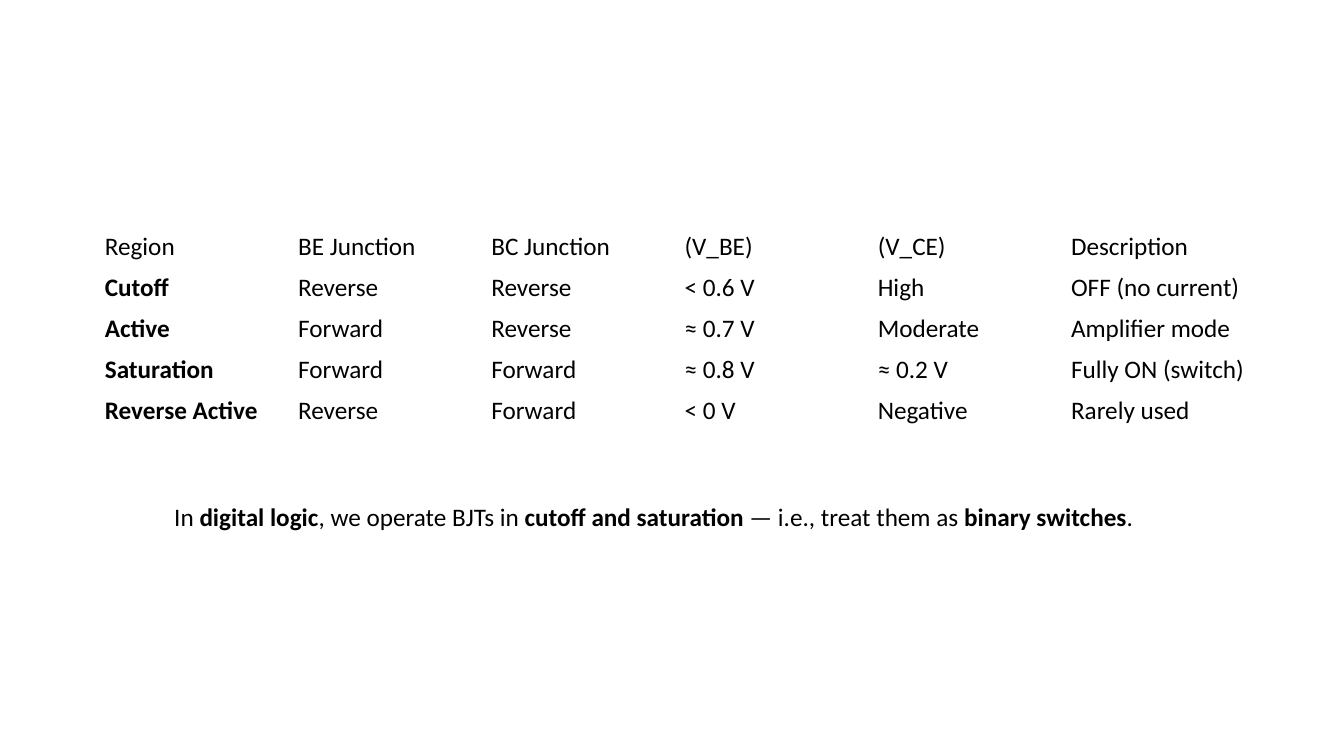
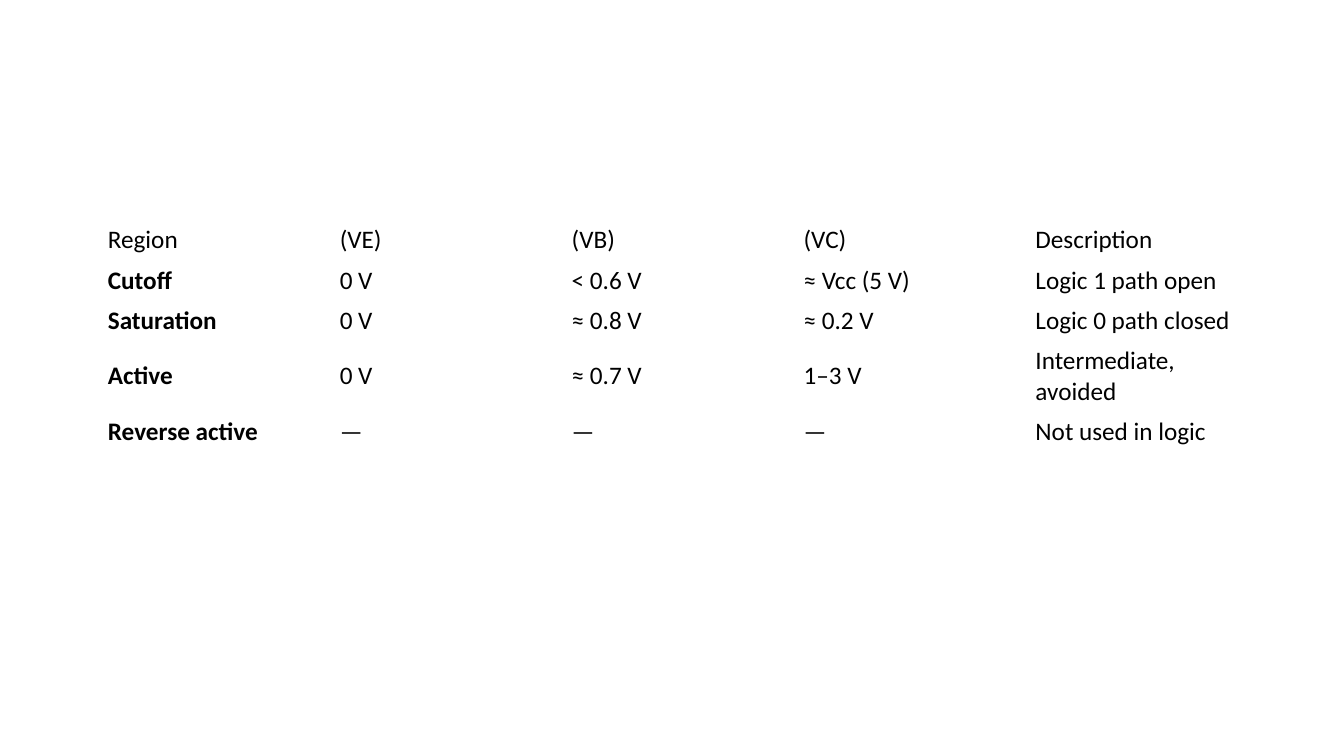
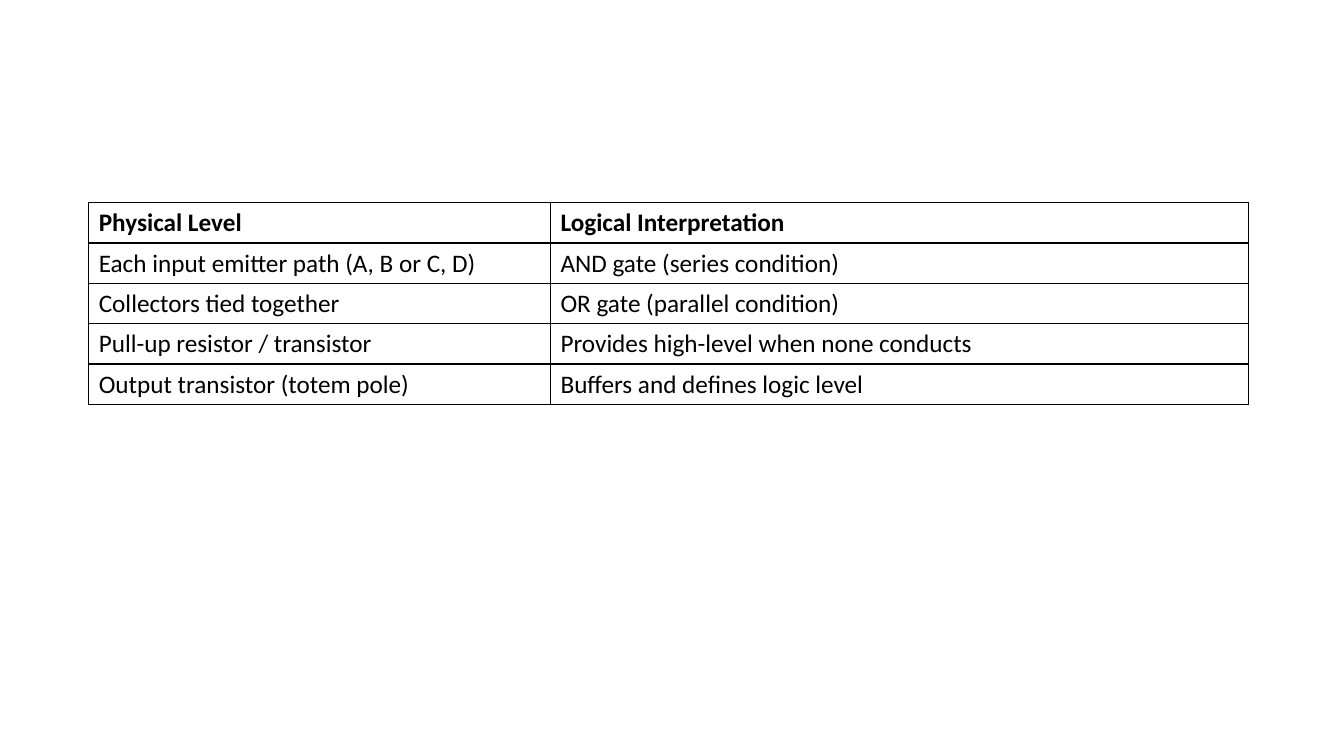
from lxml import etree
from pptx import Presentation
from pptx import util as u
from pptx.dml.color import RGBColor
from pptx.enum import text
from pptx.oxml.ns import qn

FONT = "Calibri"
SIZE = u.Pt(18)
BLACK = "000000"
TABLE_WIDTH = 11.5
ROW_HEIGHT = 0.4


def style_span(span, bold):
    span.font.name = FONT
    span.font.size = SIZE
    span.font.bold = bold
    span.font.color.rgb = RGBColor.from_string(BLACK)


def add_border(cell):
    """Draw a 1 pt line on all four sides; call before setting the cell's fill."""
    properties = cell._tc.get_or_add_tcPr()
    for side in ("a:lnL", "a:lnR", "a:lnT", "a:lnB"):
        line = etree.SubElement(properties, qn(side), w=str(u.Pt(1)))
        fill = etree.SubElement(line, qn("a:solidFill"))
        etree.SubElement(fill, qn("a:srgbClr"), val=BLACK)


# One entry per slide: left, top, column shares, bold part, bordered, rows
tables = [
    (0.94, 2.25, [1] * 6, "first column", False, [
        ["Region", "BE Junction", "BC Junction", "(V_BE)", "(V_CE)", "Description"],
        ["Cutoff", "Reverse", "Reverse", "< 0.6 V", "High", "OFF (no current)"],
        ["Active", "Forward", "Reverse", "≈ 0.7 V", "Moderate", "Amplifier mode"],
        ["Saturation", "Forward", "Forward", "≈ 0.8 V", "≈ 0.2 V", "Fully ON (switch)"],
        ["Reverse Active", "Reverse", "Forward", "< 0 V", "Negative", "Rarely used"],
    ]),
    (0.97, 2.18, [1] * 5, "first column", False, [
        ["Region", "(VE)", "(VB)", "(VC)", "Description"],
        ["Cutoff", "0 V", "< 0.6 V", "≈ Vcc (5 V)", "Logic 1 path open"],
        ["Saturation", "0 V", "≈ 0.8 V", "≈ 0.2 V", "Logic 0 path closed"],
        ["Active", "0 V", "≈ 0.7 V", "1–3 V", "Intermediate, avoided"],
        ["Reverse active", "—", "—", "—", "Not used in logic"],
    ]),
    (0.88, 2.01, [4.58, 6.92], "header", True, [
        ["Physical Level", "Logical Interpretation"],
        ["Each input emitter path (A, B or C, D)", "AND gate (series condition)"],
        ["Collectors tied together", "OR gate (parallel condition)"],
        ["Pull-up resistor / transistor", "Provides high-level when none conducts"],
        ["Output transistor (totem pole)", "Buffers and defines logic level"],
    ]),
]

deck = Presentation()
deck.slide_width = u.Inches(13.33)
deck.slide_height = u.Inches(7.5)
blank = deck.slide_layouts[6]

for left, top, shares, bold_part, bordered, rows in tables:
    slide = deck.slides.add_slide(blank)
    table = slide.shapes.add_table(
        len(rows), len(shares), u.Inches(left), u.Inches(top),
        u.Inches(TABLE_WIDTH), u.Inches(ROW_HEIGHT * len(rows))).table
    table.first_row = False
    table.horz_banding = False
    for column, share in zip(table.columns, shares):
        column.width = u.Inches(TABLE_WIDTH * share / sum(shares))
    for r, row in enumerate(rows):
        for c, words in enumerate(row):
            cell = table.cell(r, c)
            if bordered:
                add_border(cell)
            cell.fill.background()
            cell.vertical_anchor = text.MSO_ANCHOR.MIDDLE
            cell.text_frame.text = words
            bold = r == 0 if bold_part == "header" else r > 0 and c == 0
            style_span(cell.text_frame.paragraphs[0].runs[0], bold)

# Closing remark under the table of operating regions
box = deck.slides[0].shapes.add_textbox(
    u.Inches(1.63), u.Inches(4.92), u.Inches(9.73), u.Inches(0.4))
box.text_frame.word_wrap = True
box.text_frame.auto_size = text.MSO_AUTO_SIZE.SHAPE_TO_FIT_TEXT
para = box.text_frame.paragraphs[0]
for words, bold in [
    ("In ", False),
    ("digital logic", True),
    (", we operate BJTs in ", False),
    ("cutoff and saturation", True),
    (" — i.e., treat them as ", False),
    ("binary switches", True),
    (".", False),
]:
    span = para.add_run()
    span.text = words
    style_span(span, bold)

deck.save("out.pptx")
